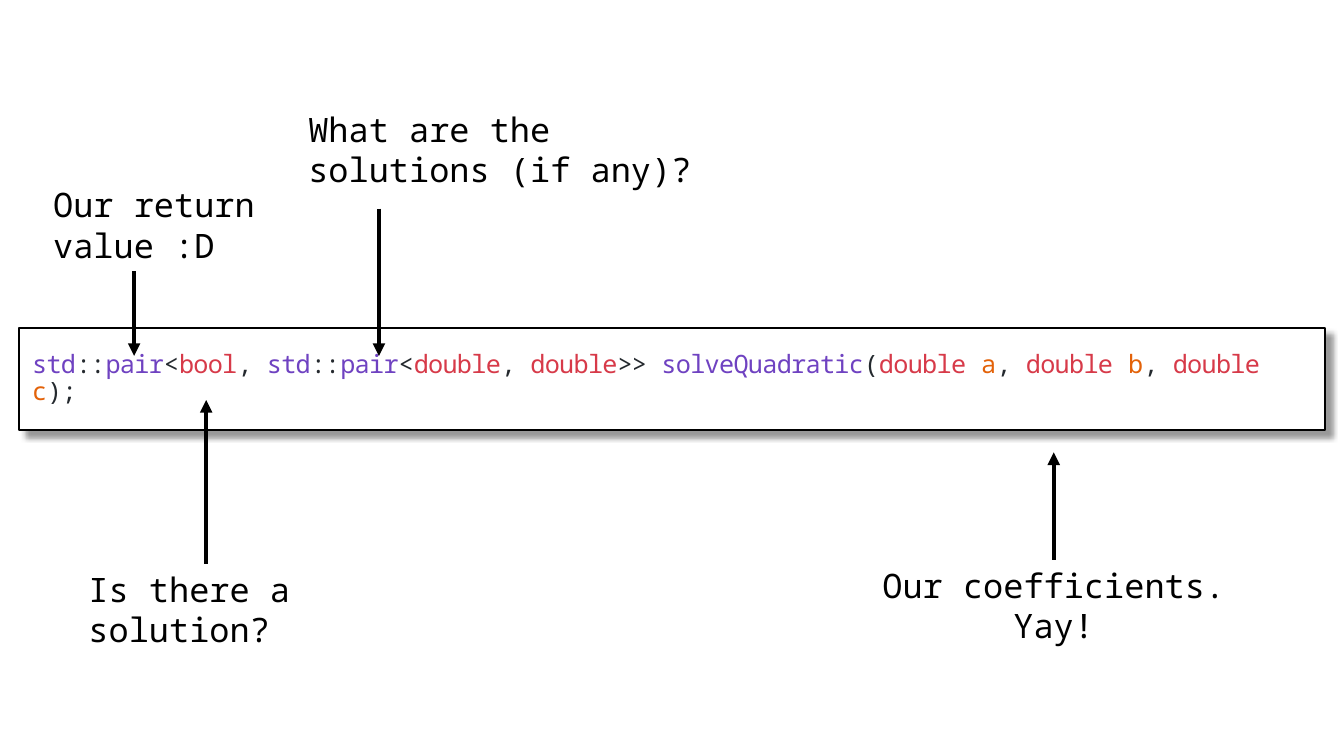
from lxml.etree import SubElement
from pptx import Presentation
from pptx.dml.color import RGBColor
from pptx.enum.shapes import MSO_CONNECTOR as Connector, MSO_SHAPE as Shape
from pptx.enum.text import MSO_ANCHOR as Anchor, MSO_AUTO_SIZE as AutoSize, PP_ALIGN as Align
from pptx.oxml import parse_xml
from pptx.oxml.ns import nsdecls, qn
from pptx.util import Cm, Pt

BLACK = RGBColor(0x00, 0x00, 0x00)
WHITE = RGBColor(0xFF, 0xFF, 0xFF)
PURPLE = RGBColor(0x6F, 0x42, 0xC1)
RED = RGBColor(0xD7, 0x3A, 0x49)
ORANGE = RGBColor(0xE3, 0x62, 0x09)
INK = RGBColor(0x24, 0x29, 0x2E)

TOKEN_COLORS = {
    **dict.fromkeys(["std", "pair", "solveQuadratic"], PURPLE),
    **dict.fromkeys(["bool", "double"], RED),
    **dict.fromkeys(["a", "b", "c"], ORANGE),
}
SIGNATURE = [
    "std", "::", "pair", "<", "bool", ", ",
    "std", "::", "pair", "<", "double", ", ", "double", ">> ",
    "solveQuadratic", "(", "double", " ", "a", ", ",
    "double", " ", "b", ", ", "double", " ", "c", ");",
]
SHADOW = f"""<a:effectLst {nsdecls("a")}>
  <a:outerShdw blurRad="50800" dist="76200" dir="2700000" algn="tl" rotWithShape="0">
    <a:srgbClr val="000000"><a:alpha val="40000"/></a:srgbClr>
  </a:outerShdw>
</a:effectLst>"""


class AnnotatedCode:
    """Draws a code signature with notes and arrows on one slide."""

    font_name = "Noto Sans Mono"
    code_size = Pt(18)
    note_size = Pt(24)
    note_height = Cm(2.31)

    def __init__(self, page):
        self.shapes = page.shapes

    def code(self, left, top, width, height, tokens):
        box = self.shapes.add_shape(Shape.RECTANGLE, left, top, width, height)
        box.fill.solid()
        box.fill.fore_color.rgb = WHITE
        box.line.color.rgb = BLACK
        box.line.width = Pt(1.5)
        box._element.spPr.append(parse_xml(SHADOW))
        frame = box.text_frame
        frame.word_wrap = True
        frame.vertical_anchor = Anchor.MIDDLE
        frame.margin_left = frame.margin_right = Cm(0.33)
        frame.margin_top = frame.margin_bottom = Cm(0.64)
        para = frame.paragraphs[0]
        para.alignment = Align.LEFT
        para.line_spacing = 0.9
        para.font.name = self.font_name
        para.font.size = self.code_size
        for token in tokens:
            span = para.add_run()
            span.text = token
            span.font.color.rgb = TOKEN_COLORS.get(token, INK)
            span._r.get_or_add_rPr().set("spc", "-50")

    def note(self, left, top, width, text, align=Align.LEFT):
        box = self.shapes.add_textbox(left, top, width, self.note_height)
        frame = box.text_frame
        frame.word_wrap = True
        frame.auto_size = AutoSize.SHAPE_TO_FIT_TEXT
        para = frame.paragraphs[0]
        para.text = text
        para.alignment = align
        para.font.name = self.font_name
        para.font.size = self.note_size
        para.font.color.rgb = BLACK
        return box

    def arrow(self, x, start, end, source=None):
        arrow = self.shapes.add_connector(Connector.STRAIGHT, x, start, x, end)
        if source is not None:
            arrow.begin_connect(source, 0)
            arrow.end_x = arrow.begin_x
        arrow.line.color.rgb = BLACK
        arrow.line.width = Pt(3)
        SubElement(arrow.line._get_or_add_ln(), qn("a:tailEnd"), type="triangle")
        SubElement(arrow._element.spPr, qn("a:effectLst"))


def main():
    deck = Presentation()
    deck.slide_width, deck.slide_height = Cm(33.87), Cm(19.05)
    sketch = AnnotatedCode(deck.slides.add_slide(deck.slide_layouts[6]))

    sketch.code(Cm(0.48), Cm(8.26), Cm(32.92), Cm(2.57), SIGNATURE)

    narrow, wide = Cm(6.43), Cm(10.85)
    sketch.note(Cm(1.09), Cm(4.52), narrow, "Our return value :D")
    sketch.note(Cm(7.52), Cm(2.62), wide, "What are the solutions (if any)?")
    solution = sketch.note(Cm(1.98), Cm(14.2), narrow, "Is there a solution?")
    inputs = sketch.note(Cm(21.13), Cm(14.1), wide, "Our coefficients. Yay!", Align.CENTER)

    sketch.arrow(Cm(3.38), Cm(6.83), Cm(8.97))
    sketch.arrow(Cm(9.55), Cm(5.26), Cm(8.97))
    sketch.arrow(Cm(5.2), Cm(14.2), Cm(10.08), solution)
    sketch.arrow(Cm(26.56), Cm(14.1), Cm(11.4), inputs)

    deck.save("out.pptx")


if __name__ == "__main__":
    main()
